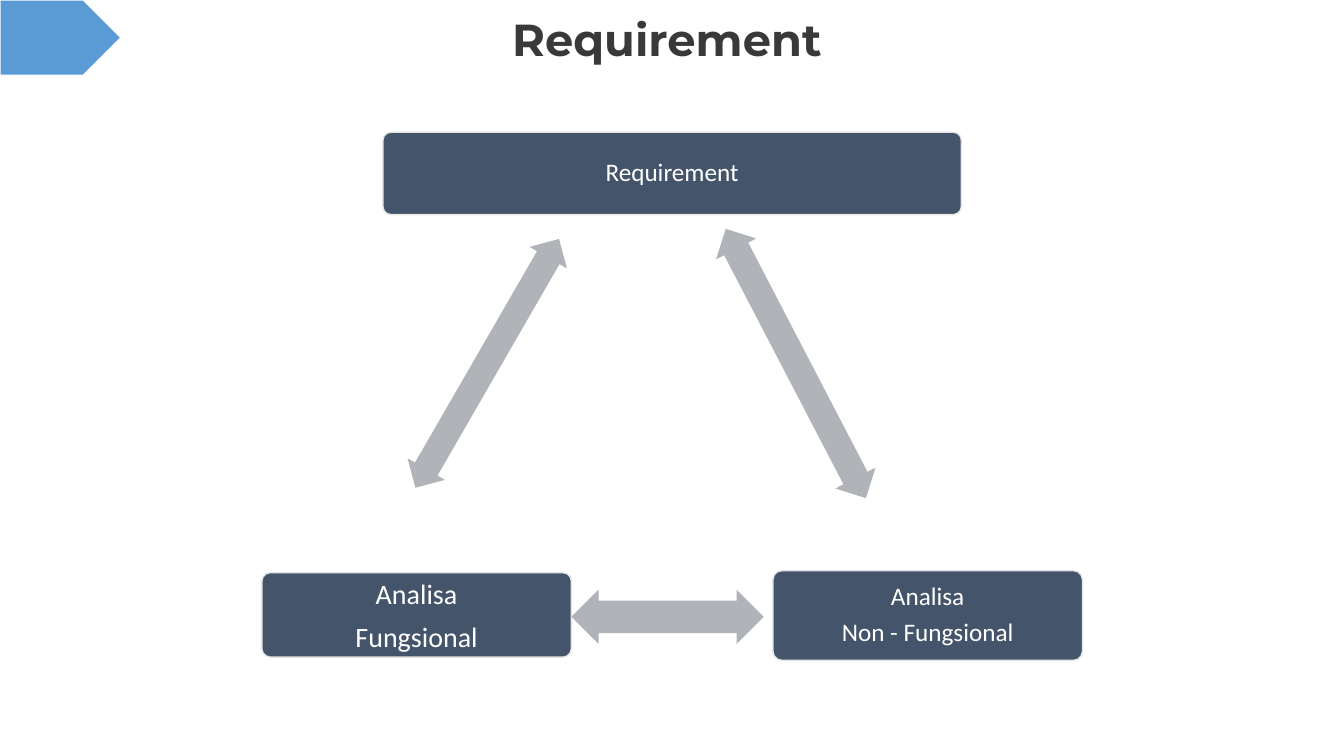
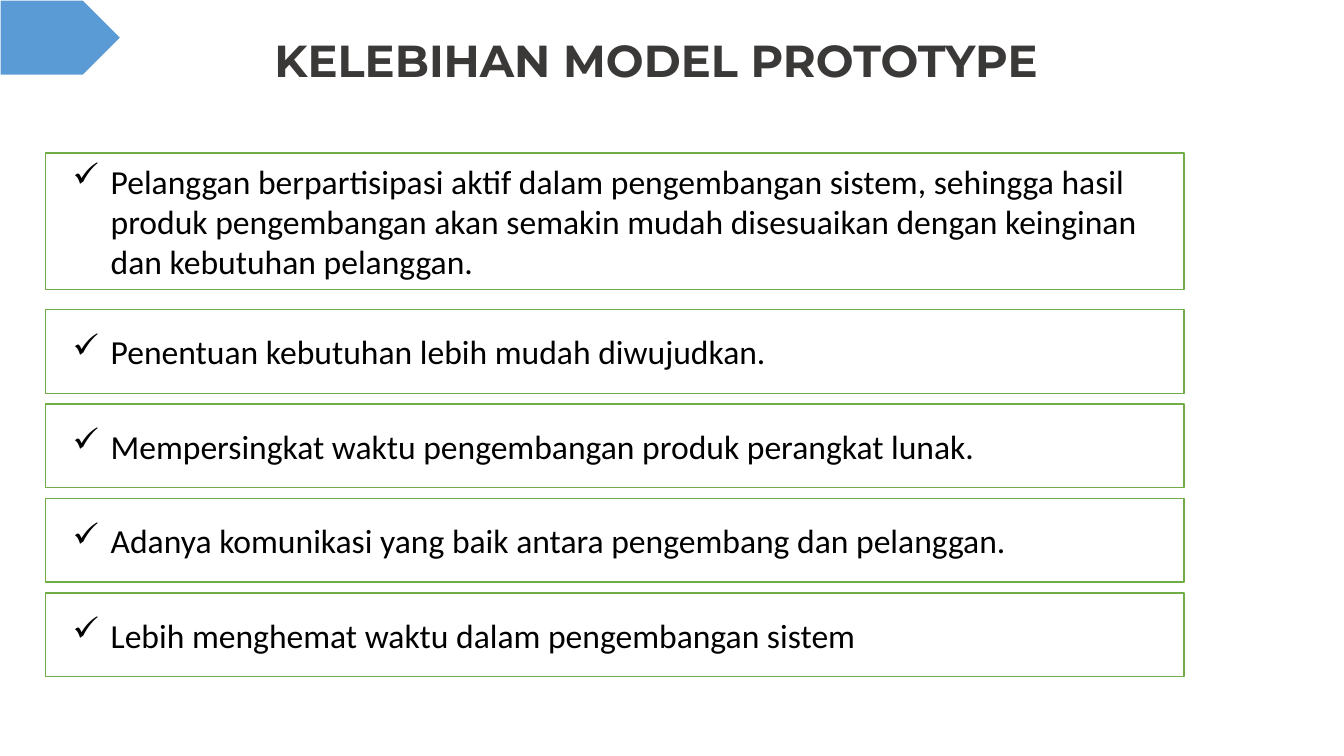
from lxml import etree
from pptx import Presentation
from pptx.dml.color import RGBColor
from pptx.enum.shapes import MSO_SHAPE
from pptx.enum.text import MSO_ANCHOR, PP_ALIGN
from pptx.oxml.ns import qn
from pptx.util import Cm, Pt

RECT, ROUND_RECT = MSO_SHAPE.RECTANGLE, MSO_SHAPE.ROUNDED_RECTANGLE
TAB, DOUBLE_ARROW = MSO_SHAPE.PENTAGON, MSO_SHAPE.LEFT_RIGHT_ARROW
MIDDLE = MSO_ANCHOR.MIDDLE
LEFT, CENTER = PP_ALIGN.LEFT, PP_ALIGN.CENTER

WHITE = RGBColor(0xFF, 0xFF, 0xFF)
BLACK = RGBColor(0, 0, 0)
TITLE_GRAY = RGBColor(0x3B, 0x38, 0x38)
BLUE = RGBColor(0x5B, 0x9B, 0xD5)
NAVY = RGBColor(0x44, 0x54, 0x6A)
PALE = RGBColor(0xE7, 0xE6, 0xE6)
ARROW_GRAY = RGBColor(0xB0, 0xB4, 0xB9)
GREEN = RGBColor(0x70, 0xAD, 0x47)

TITLE_FONT, BODY_FONT = "Montserrat", "Calibri"


def add_shape(s, kind, box, fill, line=None):
    """Add a flat preset shape; box is left, top, width, height in cm."""
    sp = s.shapes.add_shape(kind, *[Cm(v) for v in box])
    sp.shadow.inherit = False
    sp.fill.solid()
    sp.fill.fore_color.rgb = fill
    if line is None:
        sp.line.fill.background()
    else:
        sp.line.color.rgb = line
        sp.line.width = Pt(1)
    return sp


def add_text(sp, lines, size, color, align=CENTER, font=BODY_FONT,
             bold=False, spacing=1.0, after=0, inset=0.23):
    """Write one paragraph per line, centred vertically, and return them."""
    tf = sp.text_frame
    tf.word_wrap = True
    tf.vertical_anchor = MIDDLE
    tf.margin_left = tf.margin_right = Cm(inset)
    tf.margin_top = tf.margin_bottom = 0
    for i, line in enumerate(lines):
        p = tf.paragraphs[0] if i == 0 else tf.add_paragraph()
        p.alignment = align
        p.line_spacing = spacing
        p.space_after = Pt(after)
        r = p.add_run()
        r.text = line
        r.font.name = font
        r.font.size = Pt(size)
        r.font.bold = bold
        r.font.color.rgb = color
    return tf.paragraphs


prs = Presentation()
prs.slide_width, prs.slide_height = Cm(33.87), Cm(19.05)

# Shared title and corner tab
titles = [
    ("Requirement", (3.5, 0.1, 26.62, 1.9)),
    ("KELEBIHAN MODEL PROTOTYPE", (3.23, 0.28, 26.62, 2.62)),
]
slides = []
for title, box in titles:
    s = prs.slides.add_slide(prs.slide_layouts[6])
    sp = s.shapes.add_textbox(*[Cm(v) for v in box])
    add_text(sp, [title], 32, TITLE_GRAY, font=TITLE_FONT, bold=True, spacing=0.9)
    add_shape(s, TAB, (0, 0, 3.05, 1.9), BLUE, WHITE)
    slides.append(s)
requirement, advantages = slides

# Requirement triangle
nodes = [
    (["Requirement"], (9.65, 3.33, 14.58, 2.08), 18, 0.9),
    (["Analisa", "Non - Fungsional"], (19.48, 14.38, 7.8, 2.26), 18, 0.9),
    (["Analisa", "Fungsional"], (6.6, 14.43, 7.8, 2.13), 20, 1.0),
]
for lines, box, size, spacing in nodes:
    sp = add_shape(requirement, ROUND_RECT, box, NAVY, PALE)
    sp.adjustments[0] = 0.1
    add_text(sp, lines, size, WHITE, spacing=spacing, after=0.35 * size)

arrows = [
    ((16.23, 8.59, 7.65, 1.14), 62.5),
    ((14.4, 14.86, 4.85, 1.37), 0),
    ((8.66, 8.61, 7.24, 1.09), 300),
]
for box, angle in arrows:
    sp = add_shape(requirement, DOUBLE_ARROW, box, ARROW_GRAY)
    sp.adjustments[0] = 0.6
    sp.adjustments[1] = 0.5
    sp.rotation = angle

# Advantages: one tall row, then equal rows at a fixed pitch
ROW_LEFT, ROW_WIDTH = 1.14, 28.7
FIRST_TOP, FIRST_HEIGHT = 3.86, 3.43
ROW_TOP, ROW_HEIGHT, ROW_PITCH = 7.8, 2.11, 2.38
HANGING = Cm(0.96)

points = [
    "Pelanggan berpartisipasi aktif dalam pengembangan sistem, sehingga hasil "
    "produk pengembangan akan semakin mudah disesuaikan dengan keinginan "
    "dan kebutuhan pelanggan.",
    "Penentuan kebutuhan lebih mudah diwujudkan.",
    "Mempersingkat waktu pengembangan produk perangkat lunak.",
    "Adanya komunikasi yang baik antara pengembang dan pelanggan.",
    "Lebih menghemat waktu dalam pengembangan sistem",
]
for i, point in enumerate(points):
    if i == 0:
        top, height = FIRST_TOP, FIRST_HEIGHT
    else:
        top, height = ROW_TOP + (i - 1) * ROW_PITCH, ROW_HEIGHT
    sp = add_shape(advantages, RECT, (ROW_LEFT, top, ROW_WIDTH, height), WHITE, GREEN)
    p = add_text(sp, [point], 24, BLACK, align=LEFT, inset=0.69)[0]
    pPr = p._p.get_or_add_pPr()
    pPr.set("marL", str(HANGING))
    pPr.set("indent", str(-HANGING))
    etree.SubElement(pPr, qn("a:buChar")).set("char", "✓")

prs.save("out.pptx")
